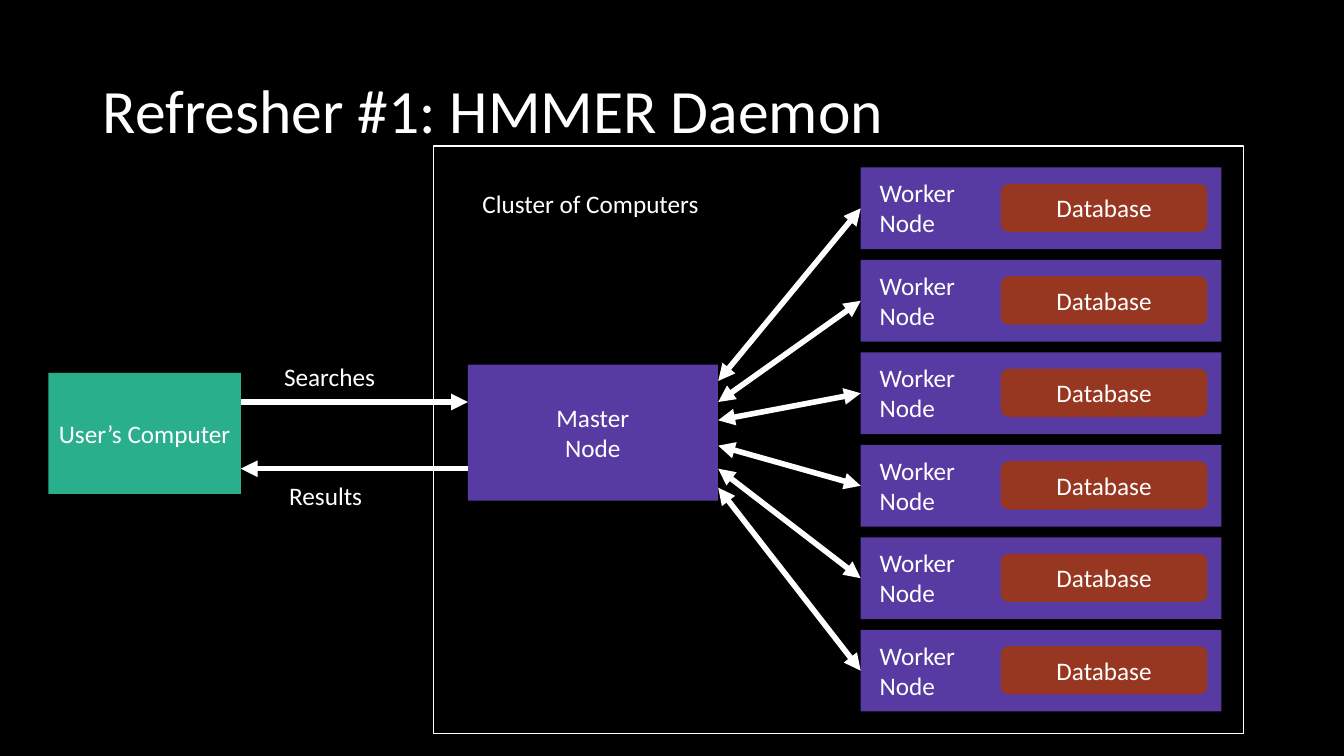
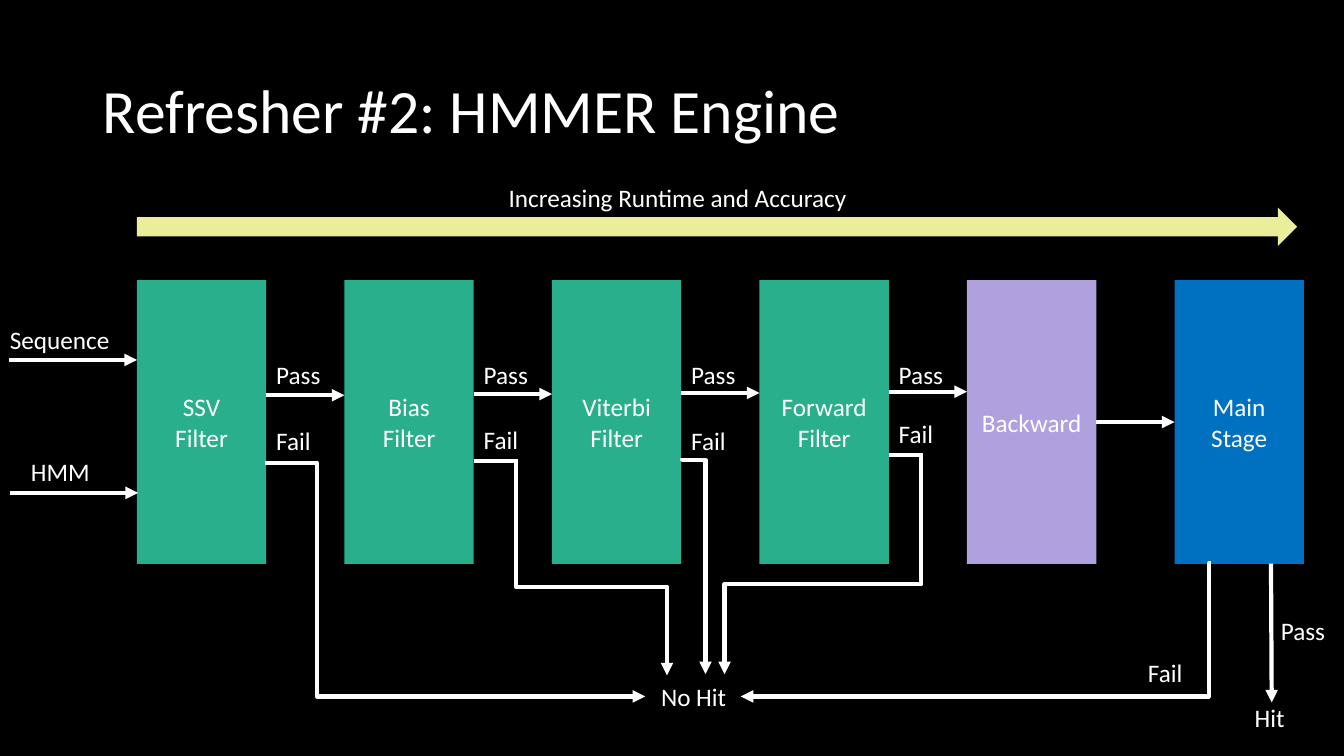
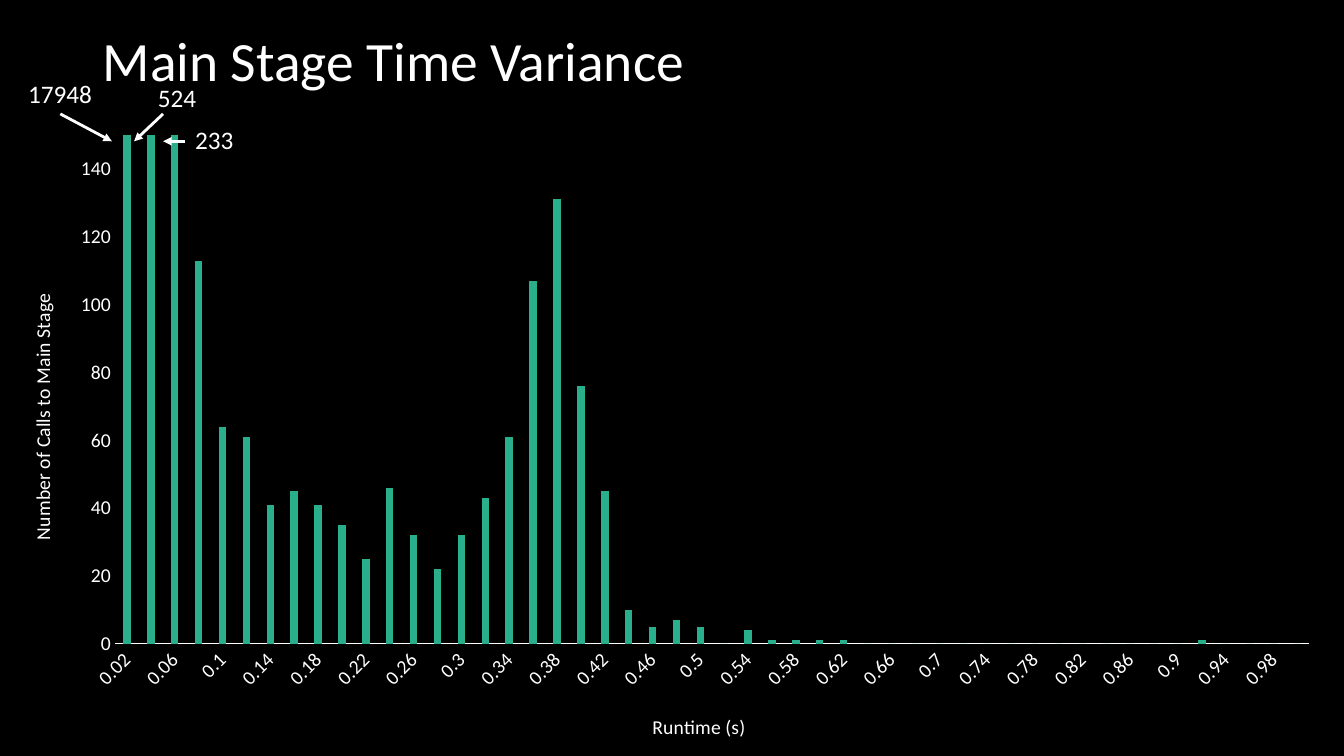
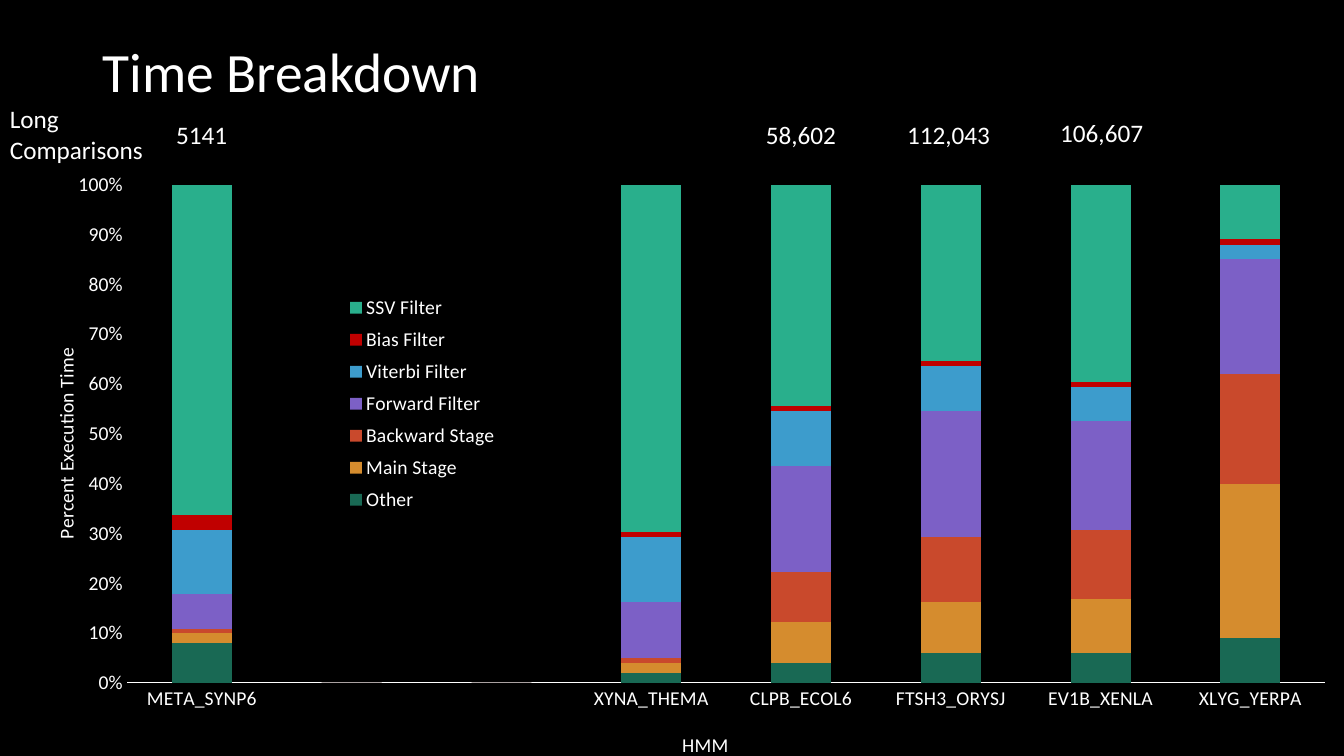
"""Build four slides on the HMMER daemon, its engine and its run times."""
from lxml import etree
from pptx import Presentation
from pptx.chart.data import CategoryChartData
from pptx.dml.color import RGBColor
from pptx.enum.chart import XL_CHART_TYPE, XL_LEGEND_POSITION, XL_TICK_MARK
from pptx.enum.shapes import MSO_CONNECTOR, MSO_SHAPE
from pptx.enum.text import MSO_ANCHOR, MSO_AUTO_SIZE, PP_ALIGN
from pptx.oxml.ns import qn
from pptx.util import Cm, Pt

RECT, ROUND, ARROW = MSO_SHAPE.RECTANGLE, MSO_SHAPE.ROUNDED_RECTANGLE, MSO_SHAPE.RIGHT_ARROW
STRAIGHT, ELBOW = MSO_CONNECTOR.STRAIGHT, MSO_CONNECTOR.ELBOW
TOP, MIDDLE = MSO_ANCHOR.TOP, MSO_ANCHOR.MIDDLE
LEFT, CENTER = PP_ALIGN.LEFT, PP_ALIGN.CENTER
FIXED = MSO_AUTO_SIZE.NONE
COLUMN, STACKED = XL_CHART_TYPE.COLUMN_CLUSTERED, XL_CHART_TYPE.COLUMN_STACKED_100
SIDE = XL_LEGEND_POSITION.LEFT
NO_TICK = XL_TICK_MARK.NONE

BLACK = RGBColor(0x00, 0x00, 0x00)
WHITE = RGBColor(0xFF, 0xFF, 0xFF)
GREEN = RGBColor(0x29, 0xAF, 0x8C)
PURPLE = RGBColor(0x57, 0x3A, 0xA2)
RUST = RGBColor(0x97, 0x37, 0x21)
LILAC = RGBColor(0xB0, 0xA0, 0xDD)
BLUE = RGBColor(0x00, 0x70, 0xC0)
YELLOW = RGBColor(0xEA, 0xED, 0x99)
PINE = RGBColor(0x19, 0x69, 0x54)
AMBER = RGBColor(0xD5, 0x8C, 0x2E)
BRICK = RGBColor(0xC9, 0x49, 0x2C)
VIOLET = RGBColor(0x7C, 0x60, 0xC6)
SKY = RGBColor(0x3D, 0x9C, 0xCC)
RED = RGBColor(0xC0, 0x00, 0x00)

FONT = {"name": "Calibri", "bold": False}
LABEL = {"word_wrap": True, "auto_size": FIXED, "vertical_anchor": TOP, "margin_right": 0}
TITLE = {**LABEL, "vertical_anchor": MIDDLE}
BLOCK = {**TITLE, "margin_left": 0}


def box(page, kind, at, text="", fill=None, frame=BLOCK, size=18, space=1.0):
    """Add a shape, or a text box where kind is None, at a place in centimetres."""
    spot = [Cm(v) for v in at]
    if kind is None:
        shape = page.shapes.add_textbox(*spot)
    else:
        shape = page.shapes.add_shape(kind, *spot)
        shape.shadow.inherit = False
        shape.line.fill.background()
        if fill is None:
            shape.fill.background()
        else:
            shape.fill.solid()
            shape.fill.fore_color.rgb = fill
    body = shape.text_frame
    for key, val in frame.items():
        setattr(body, key, val)
    for n, row in enumerate(text.split("\n")):
        para = body.add_paragraph() if n else body.paragraphs[0]
        para.text = row
        para.alignment = LEFT if kind is None else CENTER
        para.line_spacing = space
        for run in para.runs:
            for key, val in {**FONT, "size": Pt(size)}.items():
                setattr(run.font, key, val)
            run.font.color.rgb = WHITE
    return shape


def link(page, ends, width=3, tips=("tailEnd",), turn=None, drop=False):
    """Add a white line; turn is the share at which it bends, drop starts it downward."""
    x1, y1, x2, y2 = ends
    if drop:
        midx, midy, dx, dy = (x1 + x2) / 2, (y1 + y2) / 2, (x2 - x1) / 2, (y2 - y1) / 2
        ends = midx - dy, midy + dx, midx + dy, midy - dx
    kind = STRAIGHT if turn is None else ELBOW
    line = page.shapes.add_connector(kind, *[Cm(v) for v in ends])
    line.line.color.rgb = WHITE
    line.line.width = Pt(width)
    props = line._element.spPr
    for tip in tips:
        etree.SubElement(props.find(qn("a:ln")), qn("a:" + tip), type="triangle")
    etree.SubElement(props, qn("a:effectLst"))
    if turn is not None:
        etree.SubElement(props.find(".//" + qn("a:avLst")), qn("a:gd"),
                         name="adj1", fmla=f"val {round(turn * 100000)}")
    if drop:
        props.find(qn("a:xfrm")).set("rot", "5400000")
    return line


deck = Presentation()
deck.slide_width, deck.slide_height = Cm(33.87), Cm(19.05)
back = deck.slide_master.background.fill
back.solid()
back.fore_color.rgb = BLACK

pages = []
for text, high, size in (
    ("Refresher #1: HMMER Daemon", 3.68, 44),
    ("Refresher #2: HMMER Engine", 3.68, 44),
    ("Main Stage Time Variance", 1.15, 39.6),
    ("Time Breakdown", 1.7, 39.6),
):
    page = deck.slides.add_slide(deck.slide_layouts[6])
    box(page, None, (2.34, 1.02, 29.21, high), text, frame=TITLE, size=size, space=0.9)
    pages.append(page)
daemon, engine, runs, times = pages

box(daemon, RECT, (1.22, 9.4, 4.85, 3.05), "User’s Computer", GREEN)
box(daemon, RECT, (11.79, 9.19, 6.3, 3.43), "Master\nNode", PURPLE)
for n, start in enumerate((9.6, 10.13, 10.59, 11.23, 11.81, 12.29)):
    top = 4.22 + 2.33 * n
    node = box(daemon, RECT, (21.69, top, 9.09, 2.06), fill=PURPLE)
    box(daemon, None, (21.92, top + 0.13, 2.44, 1.8), "Worker\nNode", frame=LABEL)
    box(daemon, ROUND, (25.22, top + 0.41, 5.21, 1.22), "Database", RUST)
    line = link(daemon, (18.1, start, 21.69, top + 1.03), 4, ("headEnd", "tailEnd"))
    line.end_connect(node, 1)
link(daemon, (6.07, 10.13, 11.79, 10.13), 4)
link(daemon, (11.79, 11.81, 6.07, 11.81), 4)
edge = box(daemon, RECT, (10.92, 3.68, 20.42, 14.81))
edge.line.color.rgb = WHITE
edge.line.width = Pt(1)

marks = [
    (daemon, "Cluster of Computers", 11.91, 4.62, 6.02),
    (daemon, "Searches", 6.91, 8.99, 2.82),
    (daemon, "Results", 7.04, 11.99, 2.57),
    (engine, "Sequence", 0, 8.05, 3.05),
    (engine, "HMM", 0.53, 11.38, 2.01),
    (engine, "No Hit", 16.41, 17.04, 2.26),
    (engine, "Fail", 28.68, 16.43, 1.4),
    (engine, "Pass", 32.03, 15.37, 1.63),
    (engine, "Hit", 31.37, 17.58, 2.26),
    (engine, "Increasing Runtime and Accuracy", 12.57, 4.47, 9.35),
    (runs, "17948", 0.46, 1.85, 2.13),
    (runs, "524", 3.73, 1.96, 1.5),
    (runs, "233", 4.67, 3.02, 1.5),
    (times, "Long\nComparisons", 0, 2.49, 3.89),
    (times, "5141", 4.19, 2.87, 1.8),
    (times, "58,602", 19.05, 2.87, 2.29),
    (times, "112,043", 22.61, 2.87, 2.62),
    (times, "106,607", 26.47, 2.84, 2.62),
]

wide, step = 3.26, 5.23
steps = []
for n, (text, fill) in enumerate((
    ("SSV\nFilter", GREEN), ("Bias\nFilter", GREEN), ("Viterbi\nFilter", GREEN),
    ("Forward\nFilter", GREEN), ("Backward", LILAC), ("Main\nStage", BLUE),
)):
    steps.append(box(engine, RECT, (3.45 + step * n, 7.06, wide, 7.15), text, fill))
for n, low in enumerate((10.59, 10.57, 10.59, 10.41)):
    x, y = 3.45 + step * n, 9.96 - 0.03 * n
    link(engine, (x + wide, y, x + step, y))
    marks += [(engine, "Pass", x + wide, 8.94, 1.63), (engine, "Fail", x + wide, low, 1.4)]
line = link(engine, (27.63, 10.64, 29.6, 10.64))
line.begin_connect(steps[4], 3)
line.end_connect(steps[5], 1)
for ends in ((0.23, 9.07, 3.45, 9.07), (0.25, 12.42, 3.48, 12.42), (32.03, 14.2, 32.05, 17.7)):
    link(engine, ends)
for ends in ((11.94, 11.61, 13.05, 11.61), (22.4, 11.46, 23.27, 11.46)):
    link(engine, ends, tips=())
for ends, turn, drop in (
    ((6.69, 11.66, 16.26, 17.55), 0.136, False),
    ((13, 11.6, 16.81, 17.02), 0.588, True),
    ((17.2, 11.53, 17.78, 16.99), 0.01, True),
    ((23.22, 11.46, 18.26, 16.99), 0.59, True),
    ((30.51, 14.2, 18.67, 17.55), 0.004, False),
):
    link(engine, ends, turn=turn, drop=drop)
box(engine, ARROW, (3.45, 5.23, 29.24, 0.97), fill=YELLOW)

calls = [17948, 524, 233, 113, 64, 61, 41, 45, 41, 35, 25, 46, 32, 22, 32, 43, 61, 107,
         131, 76, 45, 10, 5, 7, 5, 0, 4, 1, 1, 1, 1] + [0] * 14 + [1] + [0] * 4
shares = [
    ("Other", [8, 0, 0, 2, 4, 6, 6, 9], PINE),
    ("Main Stage", [2, 0, 0, 2, 8, 10, 11, 31], AMBER),
    ("Backward Stage", [1, 0, 0, 1, 10, 13, 14, 22], BRICK),
    ("Forward Filter", [7, 0, 0, 11, 21, 25, 22, 23], VIOLET),
    ("Viterbi Filter", [13, 0, 0, 13, 11, 9, 7, 3], SKY),
    ("Bias Filter", [3, 0, 0, 1, 1, 1, 1, 1], RED),
    ("SSV Filter", [67, 0, 0, 69, 44, 35, 40, 11], GREEN),
]
genes = ["META_SYNP6", "", "", "XYNA_THEMA", "CLPB_ECOL6", "FTSH3_ORYSJ", "EV1B_XENLA",
         "XLYG_YERPA"]
plans = (
    {"page": runs, "kind": COLUMN, "at": (0, 3.1, 33.71, 15.95),
     "cats": [str(n / 50) for n in range(1, 51)], "rows": [("Series 1", calls, GREEN)],
     "plot": {"gap_width": 219, "overlap": -27}, "form": "General", "tilt": "-2700000",
     "scale": {"minimum_scale": 0, "maximum_scale": 150},
     "names": ("Runtime (s)", "Number of Calls to Main Stage"),
     "spots": ((0.086, 0.019, 0.893, 0.804), (0.485, 0.927), (0.019, 0.264))},
    {"page": times, "kind": STACKED, "at": (1.07, 4.06, 32.79, 15.29),
     "cats": genes, "rows": shares,
     "plot": {"gap_width": 150, "overlap": 100}, "form": "0%", "tilt": "0",
     "scale": {"minimum_scale": 0},
     "names": ("HMM", "Percent Execution Time"),
     "spots": ((0.065, 0.039, 0.921, 0.821), (0.489, 0.934), (0.005, 0.302),
               (0.227, 0.209, 0.13, 0.382))},
)
for plan in plans:
    data = CategoryChartData()
    data.categories = plan["cats"]
    for name, vals, fill in plan["rows"]:
        data.add_series(name, vals)
    spot = [Cm(v) for v in plan["at"]]
    chart = plan["page"].shapes.add_chart(plan["kind"], *spot, data).chart
    chart.has_title = False
    chart.has_legend = len(plan["rows"]) > 1
    plot = chart.plots[0]
    plot.vary_by_categories = False
    for key, val in plan["plot"].items():
        setattr(plot, key, val)
    for row, (name, vals, fill) in zip(plot.series, plan["rows"]):
        row.format.fill.solid()
        row.format.fill.fore_color.rgb = fill

    cat, val_axis = chart.category_axis, chart.value_axis
    fonts = [chart.font]
    nodes = [chart._chartSpace.find(".//" + qn("c:plotArea"))]
    for axis, name in zip((cat, val_axis), plan["names"]):
        axis.major_tick_mark = axis.minor_tick_mark = NO_TICK
        axis.has_major_gridlines = False
        head = axis.axis_title
        head.text_frame.text = name
        fonts += [axis.tick_labels.font, head.text_frame.paragraphs[0].runs[0].font]
        nodes.append(head._element)
    cat.format.line.color.rgb = WHITE
    cat.format.line.width = Pt(0.75)
    cat._element.find(qn("c:txPr")).find(qn("a:bodyPr")).set("rot", plan["tilt"])
    val_axis.format.line.fill.background()
    for key, val in plan["scale"].items():
        setattr(val_axis, key, val)
    val_axis.tick_labels.number_format = plan["form"]
    val_axis.tick_labels.number_format_is_linked = False
    turned = val_axis.axis_title._element.find(".//" + qn("a:bodyPr"))
    turned.set("rot", "-5400000")
    turned.set("vert", "horz")
    if chart.has_legend:
        chart.legend.position = SIDE
        chart.legend.include_in_layout = False
        fonts.append(chart.legend.font)
        nodes.append(chart.legend._element)
    for font in fonts:
        for key, val in {**FONT, "size": Pt(14)}.items():
            setattr(font, key, val)
        font.color.rgb = WHITE

    for n, (node, spot) in enumerate(zip(nodes, plan["spots"])):
        for old in node.findall(qn("c:layout")):
            node.remove(old)
        place = etree.Element(qn("c:layout"))
        hand = etree.SubElement(place, qn("c:manualLayout"))
        if n == 0:
            etree.SubElement(hand, qn("c:layoutTarget"), val="inner")
        for key in ("xMode", "yMode"):
            etree.SubElement(hand, qn("c:" + key), val="edge")
        for key, val in zip("xywh", spot):
            etree.SubElement(hand, qn("c:" + key), val=str(val))
        node.insert(min(n, 1), place)

for page, text, x, y, w in marks:
    rows = text.count("\n") + 1
    box(page, None, (x, y, w, 0.25 + 0.77 * rows), text, frame=LABEL)
for ends in ((1.52, 2.87, 2.82, 3.56), (4.11, 2.87, 3.38, 3.56), (4.67, 3.56, 4.11, 3.56)):
    link(runs, ends, 2)

deck.save("out.pptx")
